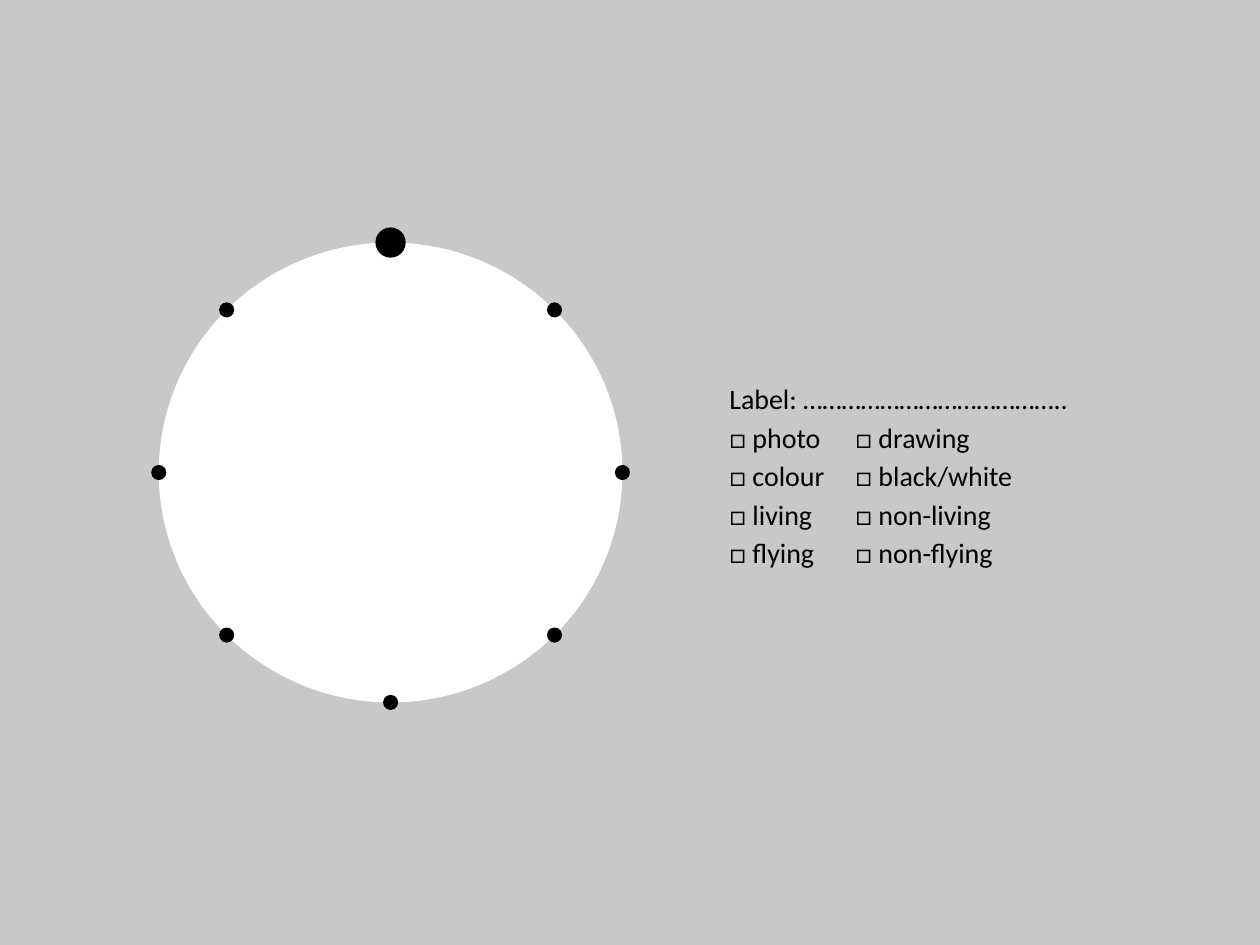
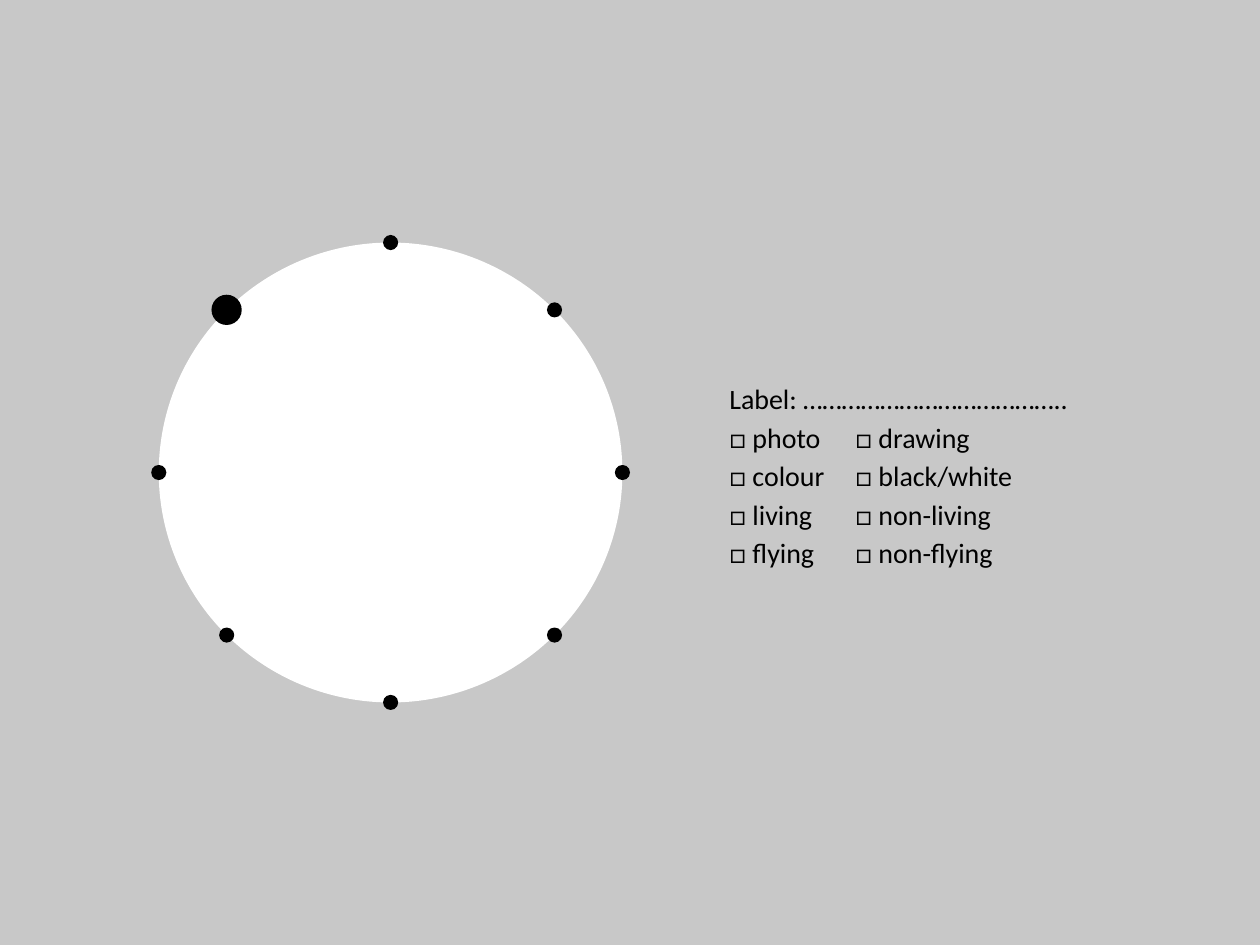
from math import cos, sin, radians
from pptx import Presentation
from pptx.dml.color import RGBColor
from pptx.enum.shapes import MSO_SHAPE as Shape
from pptx.enum.text import MSO_AUTO_SIZE as AutoSize
from pptx.util import Inches, Pt

# Content: the label form, and the compass position of the large dot per slide
FORM = [
    "Label: " + "…" * 13 + "..",
    "□ photo \t□ drawing",
    "□ colour\t□ black/white",
    "□ living\t□ non-living",
    "□ flying \t□ non-flying",
]
LARGE_DOTS = [0, 7]  # eighths of a turn, clockwise from the top

# Shared look
GREY, WHITE, BLACK = "C8C8C8", "FFFFFF", "000000"
FONT, TEXT_SIZE, LINE_PITCH = "Calibri", 16, 22
WIDTH, HEIGHT = 10, 7.5
DISC_X, DISC_Y = 0.31 * WIDTH, HEIGHT / 2
DISC_W, DISC_H = 3.68, 3.65
DOTS, DOT, LARGE_DOT = 8, 0.12, 0.24
FORM_BOX = (5.69, 2.94, 4.08, 1.62)


def colour(hex_string):
    return RGBColor.from_string(hex_string)


def add_plain(shapes, kind, x, y, w, h, fill):
    """Add an unoutlined shape centred on x, y."""
    s = shapes.add_shape(kind, Inches(x - w / 2), Inches(y - h / 2),
                         Inches(w), Inches(h))
    s.shadow.inherit = False
    s.fill.solid()
    s.fill.fore_color.rgb = colour(fill)
    s.line.fill.background()


def add_dial(slide, large):
    """Draw the white disc with evenly spaced dots on its rim."""
    shapes = slide.shapes.add_group_shape().shapes
    add_plain(shapes, Shape.OVAL, DISC_X, DISC_Y, DISC_W, DISC_H, WHITE)
    for i in range(DOTS):
        angle = radians(i * 360 / DOTS)
        x = DISC_X + DISC_W / 2 * sin(angle)
        y = DISC_Y - DISC_H / 2 * cos(angle)
        size = LARGE_DOT if i == large else DOT
        add_plain(shapes, Shape.OVAL, x, y, size, size, BLACK)


def add_form(slide):
    tf = slide.shapes.add_textbox(*map(Inches, FORM_BOX)).text_frame
    tf.word_wrap = True
    tf.auto_size = AutoSize.SHAPE_TO_FIT_TEXT
    tf.text = "\n".join(FORM)
    for p in tf.paragraphs:
        p.line_spacing = Pt(LINE_PITCH)
        for r in p.runs:
            r.font.name, r.font.size = FONT, Pt(TEXT_SIZE)
            r.font.color.rgb = colour(BLACK)


prs = Presentation()
prs.slide_width, prs.slide_height = Inches(WIDTH), Inches(HEIGHT)
for large in LARGE_DOTS:
    slide = prs.slides.add_slide(prs.slide_layouts[6])
    # Grey backdrop
    add_plain(slide.shapes, Shape.RECTANGLE, WIDTH / 2, HEIGHT / 2,
              WIDTH, HEIGHT, GREY)
    add_dial(slide, large)
    add_form(slide)
prs.save("out.pptx")
